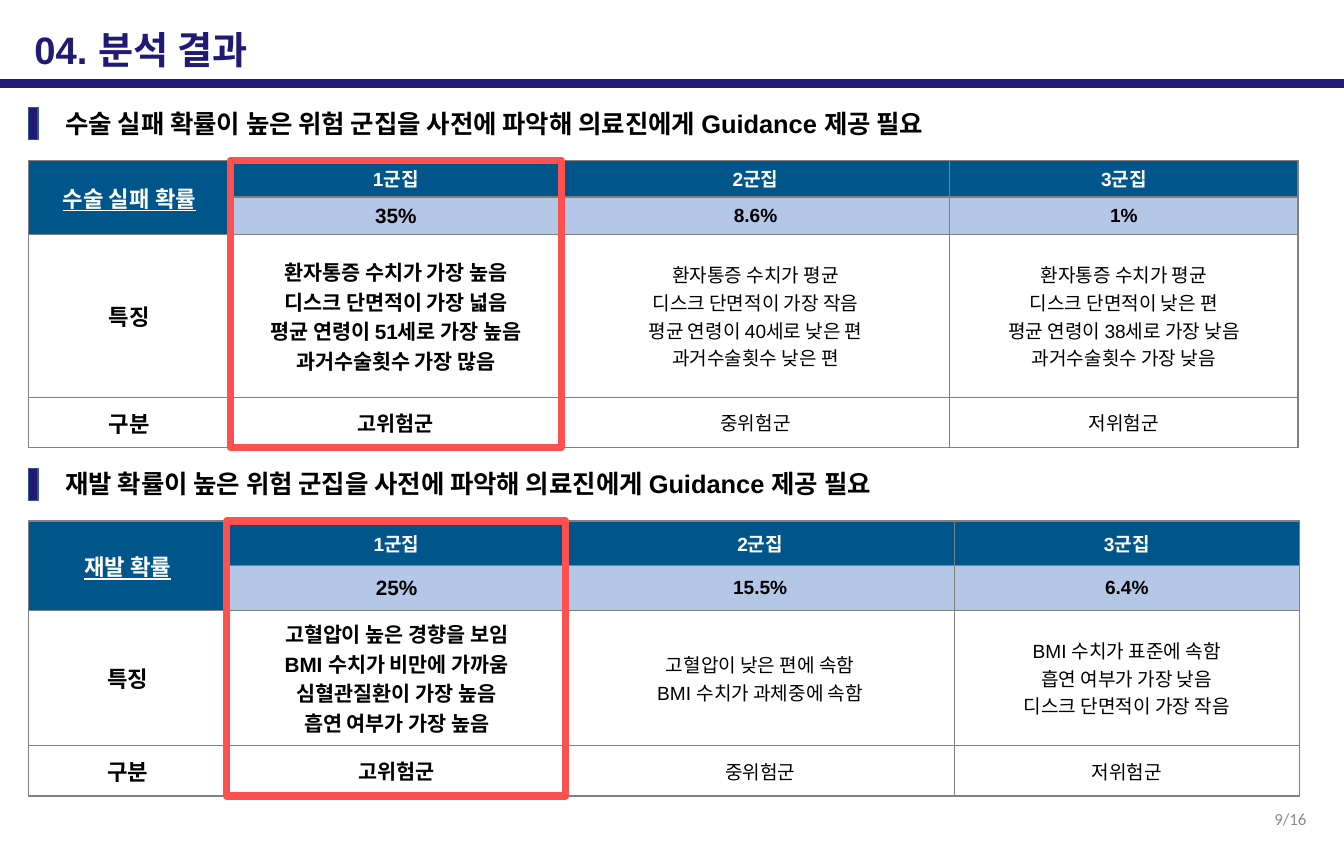
from dataclasses import dataclass

from lxml import etree
from pptx import Presentation
from pptx import util as u
from pptx.dml.color import RGBColor
from pptx.enum import shapes, text
from pptx.oxml.ns import qn


@dataclass(frozen=True)
class Theme:
    navy: str = "201A74"
    edge: str = "325491"
    head: str = "00568B"
    rate: str = "B4C7E7"
    grid: str = "808080"
    alert: str = "FF5050"
    white: str = "FFFFFF"
    black: str = "000000"
    gray: str = "8C8C8C"
    font: str = "Arial"
    small: str = "Calibri"
    title: float = 24
    lead: float = 16
    label: float = 14
    key: float = 13
    body: float = 12
    page: float = 10.6


T = Theme()
WIDE, HIGH = 11.73, 7.5
LEFT = 0.25
RISK = "수술 실패 확률이 높은 위험 군집을 사전에 파악해 의료진에게 Guidance 제공 필요"
AGAIN = "재발 확률이 높은 위험 군집을 사전에 파악해 의료진에게 Guidance 제공 필요"
GROUPS = ["1군집", "2군집", "3군집"]
LEVELS = ["구분", "고위험군", "중위험군", "저위험군"]

SECTIONS = [
    dict(top=0.92, lead=RISK,
         cols=[1.76, 2.89, 3.39, 3.04], rows=[0.32, 0.33, 1.42, 0.44],
         name="수술 실패 확률", rates=["35%", "8.6%", "1%"],
         traits=[
             "환자통증 수치가 가장 높음\n디스크 단면적이 가장 넓음\n"
             "평균 연령이 51세로 가장 높음\n과거수술횟수 가장 많음",
             "환자통증 수치가 평균\n디스크 단면적이 가장 작음\n"
             "평균 연령이 40세로 낮은 편\n과거수술횟수 낮은 편",
             "환자통증 수치가 평균\n디스크 단면적이 낮은 편\n"
             "평균 연령이 38세로 가장 낮음\n과거수술횟수 가장 낮음"]),
    dict(top=4.07, lead=AGAIN,
         cols=[1.73, 2.96, 3.39, 3.01], rows=[0.39, 0.39, 1.18, 0.44],
         name="재발 확률", rates=["25%", "15.5%", "6.4%"],
         traits=[
             "고혈압이 높은 경향을 보임\nBMI 수치가 비만에 가까움\n"
             "심혈관질환이 가장 높음\n흡연 여부가 가장 높음",
             "고혈압이 낮은 편에 속함\nBMI 수치가 과체중에 속함",
             "BMI 수치가 표준에 속함\n흡연 여부가 가장 낮음\n디스크 단면적이 가장 작음"]),
]


def inches(*box):
    return [u.Inches(n) for n in box]


def apply(item, form):
    for key, value in form.items():
        setattr(item, key, value)


def write(frame, words, size, color=T.black, bold=True, line=False,
          font=T.font, align=text.PP_ALIGN.LEFT, space=1.0):
    frame.text = words
    for para in frame.paragraphs:
        apply(para, dict(alignment=align, line_spacing=space))
        for run in para.runs:
            apply(run.font, dict(name=font, size=u.Pt(size), bold=bold,
                                 underline=line))
            run.font.color.rgb = RGBColor.from_string(color)


def block(slide, box, line, width, fill=None):
    rect = slide.shapes.add_shape(shapes.MSO_SHAPE.RECTANGLE, *inches(*box))
    rect.shadow.inherit = False
    rect.line.color.rgb = RGBColor.from_string(line)
    rect.line.width = u.Pt(width)
    if fill:
        rect.fill.solid()
        rect.fill.fore_color.rgb = RGBColor.from_string(fill)
    else:
        rect.fill.background()


def label(slide, box, words, left=0.1, **form):
    frame = slide.shapes.add_textbox(*inches(*box)).text_frame
    apply(frame, dict(word_wrap=True, margin_left=u.Inches(left),
                      vertical_anchor=text.MSO_ANCHOR.MIDDLE))
    write(frame, words, **form)


def border(cell):
    props = cell._tc.get_or_add_tcPr()
    for side in ("a:lnL", "a:lnR", "a:lnT", "a:lnB"):
        line = etree.SubElement(props, qn(side), w=str(u.Pt(1)))
        fill = etree.SubElement(line, qn("a:solidFill"))
        etree.SubElement(fill, qn("a:srgbClr"), val=T.grid)


def style(row, col):
    """Return the cell's fill and its text format, by place in the grid."""
    fill = T.head if row == 0 or (col == 0 and row == 1) else None
    if row == 1 and col:
        fill = T.rate
    size = T.label if col == 0 else T.key if col == 1 and row else T.body
    return fill, dict(size=size, bold=row < 2 or col < 2,
                      color=T.white if row == 0 else T.black,
                      line=row == 0 and col == 0)


def table(slide, left, top, cols, rows, data):
    box = inches(left, top, sum(cols), sum(rows))
    grid = slide.shapes.add_table(len(rows), len(cols), *box).table
    apply(grid, dict(first_row=False, horz_banding=False))
    for col, width in zip(grid.columns, cols):
        col.width = u.Inches(width)
    for row, height in zip(grid.rows, rows):
        row.height = u.Inches(height)
    for r, line in enumerate(data):
        for c, words in enumerate(line):
            cell = grid.cell(r, c)
            apply(cell, dict(vertical_anchor=text.MSO_ANCHOR.MIDDLE,
                             margin_top=u.Inches(0.02),
                             margin_bottom=u.Inches(0.02)))
            border(cell)
            fill, form = style(r, c)
            if fill:
                cell.fill.solid()
                cell.fill.fore_color.rgb = RGBColor.from_string(fill)
            else:
                cell.fill.background()
            if words:
                write(cell.text_frame, words,
                      align=text.PP_ALIGN.CENTER, **form)
    grid.cell(0, 0).merge(grid.cell(1, 0))


def header(slide, words):
    title = slide.shapes.title
    apply(title, dict(zip(("left", "top", "width", "height"),
                          inches(0.16, 0.18, 2.61, 0.5))))
    frame = title.text_frame
    apply(frame, dict(word_wrap=True, margin_left=u.Inches(0.14),
                      vertical_anchor=text.MSO_ANCHOR.MIDDLE))
    write(frame, words, T.title, T.navy)
    block(slide, (0, 0.7, WIDE, 0.06), T.navy, 1, T.navy)


def section(slide, top, lead, cols, rows, name, rates, traits):
    """Place a marked heading, its table and a frame on the risk column."""
    label(slide, (0.16, top, 11.29, 0.34), lead, left=0.41,
          size=T.lead, space=0.9)
    block(slide, (LEFT, top + 0.02, 0.08, 0.28), T.edge, 1, T.navy)
    data = [[name, *GROUPS], ["", *rates], ["특징", *traits], LEVELS]
    body = top + 0.48
    table(slide, LEFT, body, cols, rows, data)
    block(slide, (LEFT + cols[0], body, cols[1], sum(rows)), T.alert, 4.5)


def main():
    deck = Presentation()
    deck.slide_width, deck.slide_height = inches(WIDE, HIGH)
    slide = deck.slides.add_slide(deck.slide_layouts[5])
    header(slide, "04. 분석 결과")
    for part in SECTIONS:
        section(slide, **part)
    label(slide, (8.86, 6.95, 2.64, 0.4), "9/16", size=T.page, color=T.gray,
          bold=False, font=T.small, align=text.PP_ALIGN.RIGHT)
    deck.save("out.pptx")


if __name__ == "__main__":
    main()
